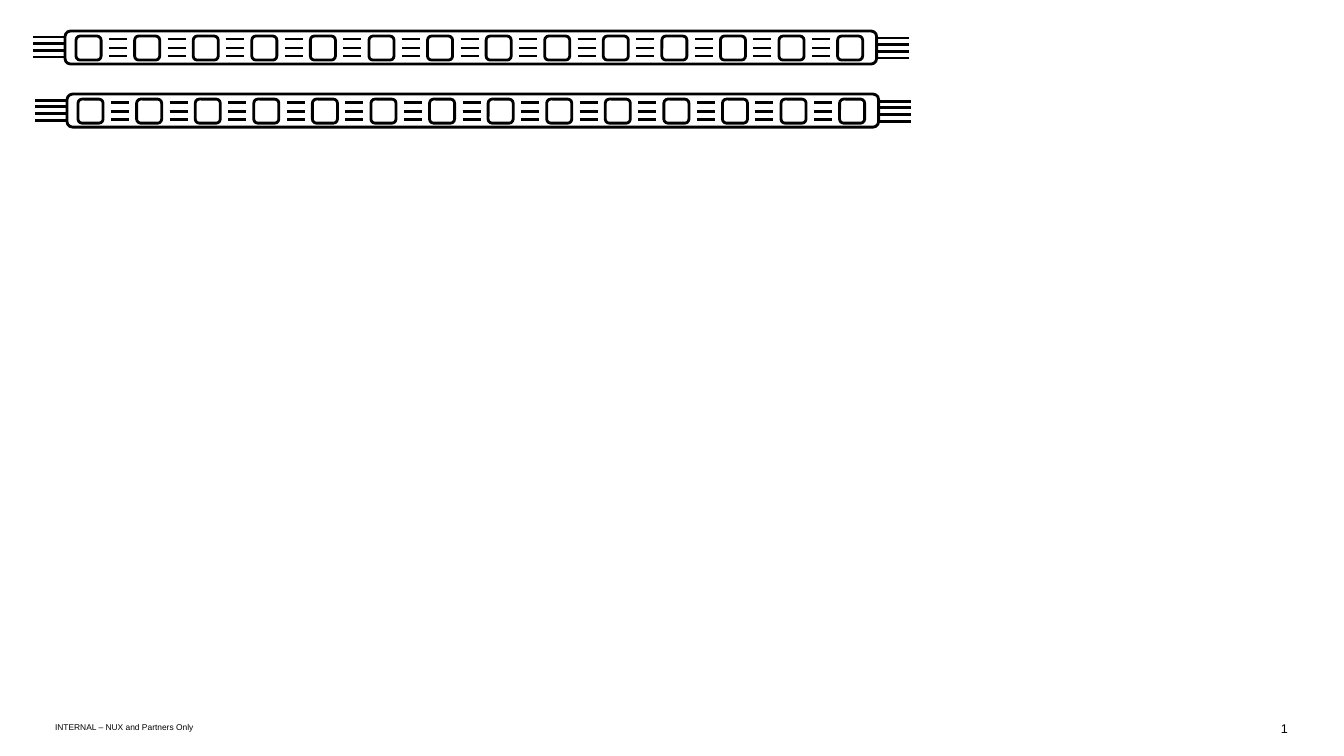
from dataclasses import dataclass

from lxml import etree
from pptx import Presentation
from pptx import util as u
from pptx.dml.color import RGBColor
from pptx.enum import shapes, text
from pptx.oxml import ns

PX = 914400 / 100.7


@dataclass(frozen=True)
class Theme:
    ink: RGBColor = RGBColor(0, 0, 0)
    font: str = "Arial"
    footer_size: int = 6
    number_size: int = 9
    stroke: int = 2


@dataclass(frozen=True)
class Box:
    left: int
    top: int
    width: int
    height: int


THEME = Theme()


def px(length):
    return u.Emu(round(length * PX))


def ink_line(part):
    part.line.color.rgb = THEME.ink
    part.line.width = u.Pt(THEME.stroke)


def outline(parent, left, top, width, height):
    part = parent.add_shape(shapes.MSO_SHAPE.ROUNDED_RECTANGLE,
                            px(left), px(top), px(width), px(height))
    part.shadow.inherit = False
    part.fill.background()
    ink_line(part)


def wire(parent, left, y, length):
    part = parent.add_connector(shapes.MSO_CONNECTOR.STRAIGHT,
                                px(left), px(y), px(left + length), px(y))
    ink_line(part)
    etree.SubElement(part._element.spPr, ns.qn("a:effectLst"))


def led_strip(slide, box, leds=14):
    lead, led_width, led_height = 32, 25, 24
    first_led, last_led = box.left + 43, box.left + box.width - 71
    pitch = (last_led - first_led) / (leds - 1)
    right_lead = box.left + box.width - lead

    outline(slide.shapes, box.left + lead, box.top,
            box.width - 2 * lead, box.height)
    for lead_left, first_y in ((right_lead, 7), (box.left, 6)):
        for row in range(4):
            wire(slide.shapes, lead_left, box.top + first_y + row * 20 / 3, lead)

    for led in range(leds):
        led_left = first_led + led * pitch
        outline(slide.shapes, led_left, box.top + 5, led_width, led_height)
        if led < leds - 1:
            traces = slide.shapes.add_group_shape()
            for trace_y in (8, 17, 25):
                wire(traces.shapes, led_left + 33, box.top + trace_y, 18)


def label(slide, box, words, size, align, wrap, anchor):
    part = slide.shapes.add_textbox(px(box.left), px(box.top),
                                    px(box.width), px(box.height))
    frame = part.text_frame
    frame.margin_left = frame.margin_right = 0
    frame.margin_top = frame.margin_bottom = 0
    frame.word_wrap = wrap
    frame.vertical_anchor = anchor
    frame.text = words
    paragraph = frame.paragraphs[0]
    paragraph.alignment = align
    font = paragraph.runs[0].font
    font.name = THEME.font
    font.size = u.Pt(size)
    font.color.rgb = THEME.ink


def footer(slide, box):
    label(slide, Box(box.left, box.top, 1119, box.height),
          "INTERNAL – NUX and Partners Only", THEME.footer_size,
          text.PP_ALIGN.LEFT, True, text.MSO_ANCHOR.MIDDLE)
    label(slide, Box(box.left + box.width - 15, box.top + 1, 15, box.height),
          "1", THEME.number_size,
          text.PP_ALIGN.RIGHT, False, text.MSO_ANCHOR.TOP)


def main():
    deck = Presentation()
    deck.slide_width, deck.slide_height = px(1343), px(755)
    slide = deck.slides.add_slide(deck.slide_layouts[6])
    footer(slide, Box(55, 719, 1232, 15))
    led_strip(slide, Box(35, 94, 875, 33))
    led_strip(slide, Box(33, 31, 875, 33))
    deck.save("out.pptx")


main()
